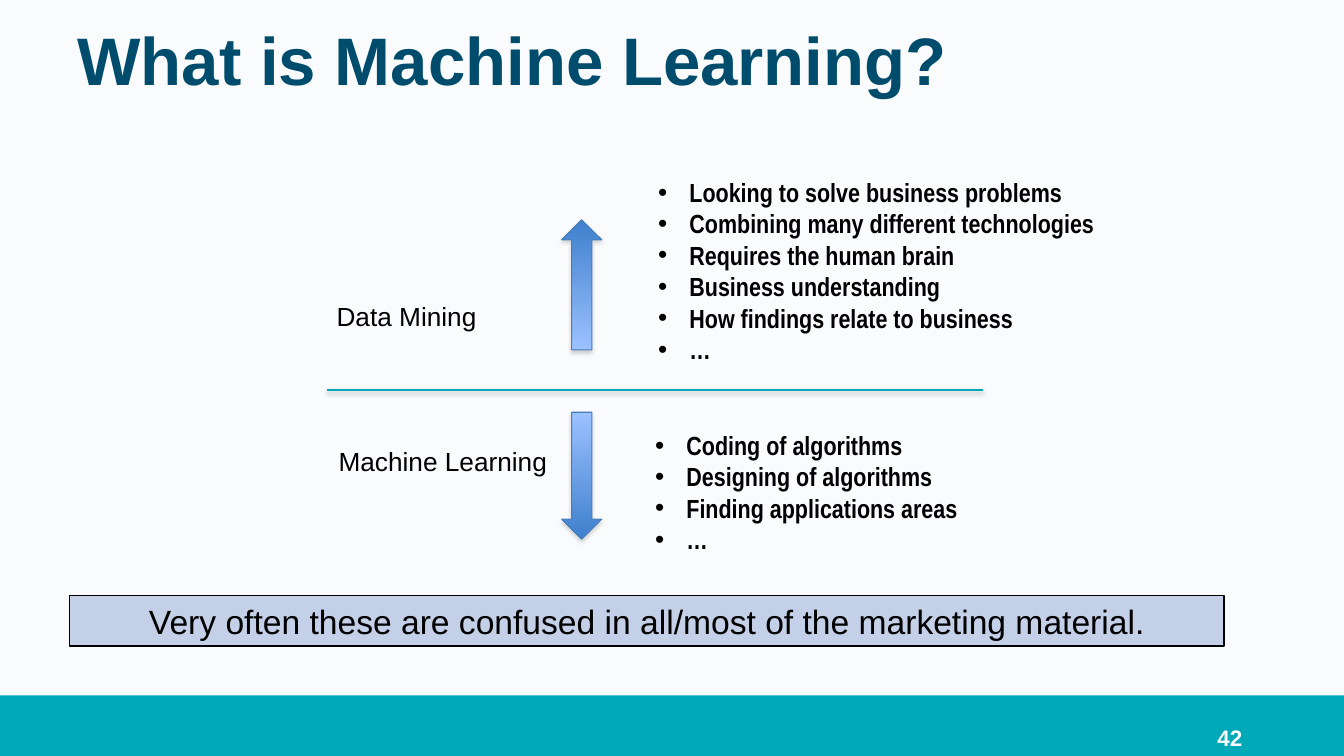
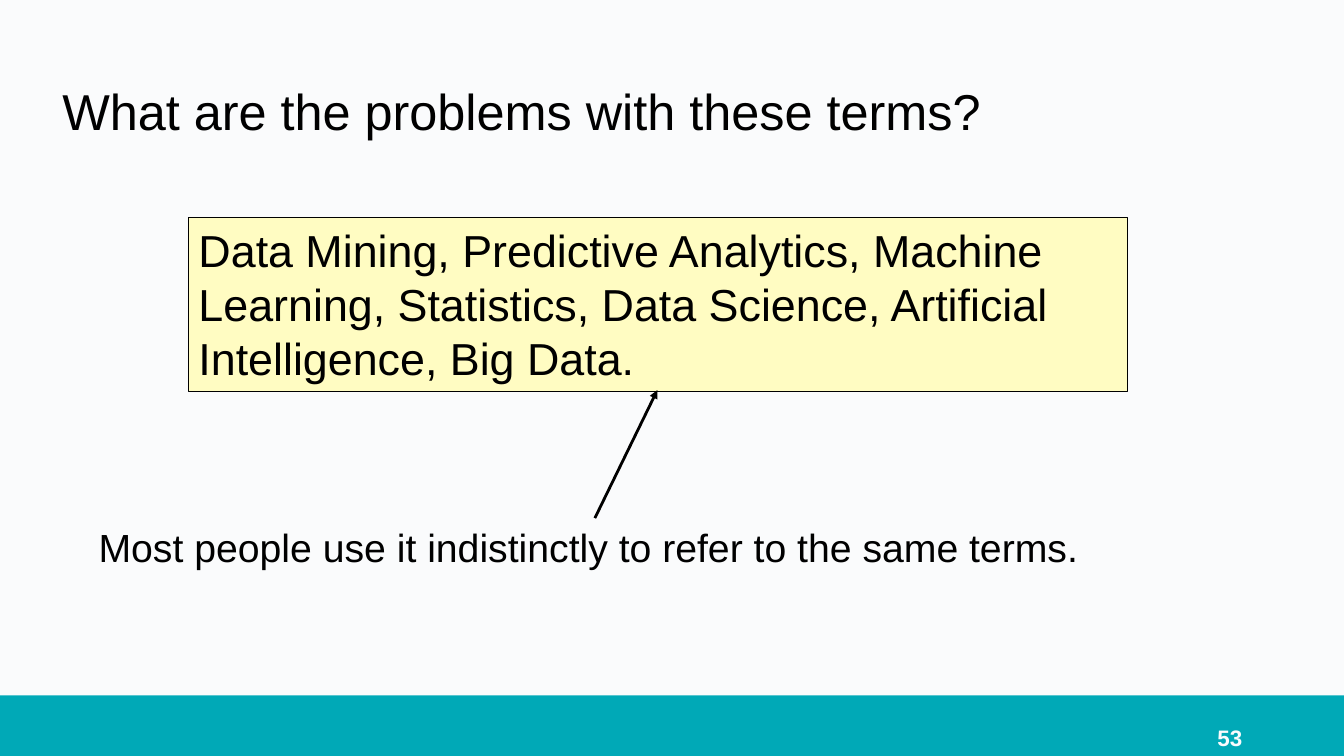
from lxml.etree import SubElement
from pptx import Presentation
from pptx.dml.color import RGBColor
from pptx.enum.shapes import MSO_CONNECTOR, MSO_SHAPE
from pptx.enum.text import MSO_ANCHOR, PP_ALIGN
from pptx.oxml.ns import qn
from pptx.util import Inches, Pt

COLORS = {name: RGBColor.from_string(value) for name, value in {
    "background": "FAFBFC",
    "teal": "00A9B7",
    "title": "004C6C",
    "text": "000000",
    "page number": "FAFBFD",
    "arrow light": "9BC1FF",
    "arrow dark": "3F80CD",
    "arrow edge": "4A7EBB",
    "blue box": "C4D0E7",
    "yellow box": "FFFCC2",
}.items()}


def add_text(slide, lines, box, size, color="text", font="Arial", bold=False,
             align=PP_ALIGN.LEFT, anchor=MSO_ANCHOR.TOP, fill=None, edge=1, bullets=False):
    """Add lines of text at box (left, top, width, height), in a filled rectangle if fill is given."""
    bounds = [Inches(length) for length in box]
    if fill:
        holder = slide.shapes.add_shape(MSO_SHAPE.RECTANGLE, *bounds)
        holder.shadow.inherit = False
        holder.fill.solid()
        holder.fill.fore_color.rgb = COLORS[fill]
        holder.line.color.rgb = COLORS["text"]
        holder.line.width = Pt(edge)
    else:
        holder = slide.shapes.add_textbox(*bounds)
    frame = holder.text_frame
    frame.word_wrap = True
    frame.vertical_anchor = anchor
    frame.text = "\n".join(lines)
    for paragraph in frame.paragraphs:
        paragraph.alignment = align
        if bullets:
            properties = paragraph._p.get_or_add_pPr()
            properties.set("marL", str(Inches(0.31)))
            properties.set("indent", str(-Inches(0.31)))
            SubElement(properties, qn("a:buFont"), typeface="Arial")
            SubElement(properties, qn("a:buChar"), char="•")
        for run in paragraph.runs:
            run.font.name = font
            run.font.size = Pt(size)
            run.font.bold = bold
            run.font.color.rgb = COLORS[color]
    return frame


def set_shadow(shape, opacity=0, distance=0):
    """Give a shape a soft shadow below it, or none when opacity is 0; set its line first."""
    effects = SubElement(shape._element.spPr, qn("a:effectLst"))
    if opacity:
        shadow = SubElement(effects, qn("a:outerShdw"), blurRad=str(Pt(3.1)),
                            dist=str(Pt(distance)), dir="5400000", rotWithShape="0")
        gray = SubElement(shadow, qn("a:srgbClr"), val="808080")
        SubElement(gray, qn("a:alpha"), val=str(opacity * 1000))


prs = Presentation()
prs.slide_width, prs.slide_height = Inches(13.33), Inches(7.5)
master_fill = prs.slide_master.background.fill
master_fill.solid()
master_fill.fore_color.rgb = COLORS["background"]

# Both slides: footer band and page number
slides = []
for page_number in ("42", "53"):
    slide = prs.slides.add_slide(prs.slide_layouts[6])
    band = slide.shapes.add_shape(MSO_SHAPE.RECTANGLE, 0, Inches(6.9), prs.slide_width, Inches(0.6))
    band.shadow.inherit = False
    band.fill.solid()
    band.fill.fore_color.rgb = COLORS["teal"]
    band.line.fill.background()
    add_text(slide, [page_number], (9.42, 7.14, 3, 0.36), 16, "page number", bold=True,
             align=PP_ALIGN.RIGHT, anchor=MSO_ANCHOR.MIDDLE)
    slides.append(slide)
learning_slide, terms_slide = slides

# Slide 1: data mining above the divider, machine learning below
title = add_text(learning_slide, ["What is Machine Learning?"], (0.67, 0.12, 11.5, 1.03), 48,
                 "title", bold=True, anchor=MSO_ANCHOR.MIDDLE)
title.paragraphs[0].line_spacing = 0.9

divider = learning_slide.shapes.add_connector(
    MSO_CONNECTOR.STRAIGHT, Inches(3.24), Inches(3.87), Inches(9.75), Inches(3.87))
divider.line.color.rgb = COLORS["teal"]
divider.line.width = Pt(2)
set_shadow(divider, 38, 1.6)

topics = [
    ("Data Mining", (3.24, 2.93, 1.7, 0.41),
     MSO_SHAPE.UP_ARROW, 2.18, 1.29, 90,
     ["Looking to solve business problems", "Combining many different technologies",
      "Requires the human brain", "Business understanding",
      "How findings relate to business", "…"], (6.43, 1.7, 4.7, 1.99)),
    ("Machine Learning", (3.26, 4.37, 2.4, 0.41),
     MSO_SHAPE.DOWN_ARROW, 4.09, 1.26, 270,
     ["Coding of algorithms", "Designing of algorithms",
      "Finding applications areas", "…"], (6.4, 4.21, 3.4, 1.36)),
]
for label, label_box, direction, arrow_top, arrow_height, angle, points, points_box in topics:
    add_text(learning_slide, [label], label_box, 18.7)
    arrow = learning_slide.shapes.add_shape(
        direction, Inches(5.57), Inches(arrow_top), Inches(0.4), Inches(arrow_height))
    arrow.fill.gradient()
    arrow.fill.gradient_angle = angle
    for stop, shade in zip(arrow.fill.gradient_stops, ("arrow light", "arrow dark")):
        stop.color.rgb = COLORS[shade]
    arrow.line.color.rgb = COLORS["arrow edge"]
    arrow.line.width = Pt(0.75)
    set_shadow(arrow, 35, 1.8)
    add_text(learning_slide, points, points_box, 18.7, font="Arial Narrow", bold=True, bullets=True)

add_text(learning_slide, ["Very often these are confused in all/most of the marketing material."],
         (0.69, 5.91, 11.45, 0.5), 24, align=PP_ALIGN.CENTER, fill="blue box")

# Slide 2: the terms and how people use them
add_text(terms_slide, ["What are the problems with these terms?"], (0.52, 0.35, 12, 1.48), 36,
         anchor=MSO_ANCHOR.MIDDLE)
add_text(terms_slide,
         ["Data Mining, Predictive Analytics, Machine Learning, Statistics, Data Science, "
          "Artificial Intelligence, Big Data."],
         (1.87, 2.16, 9.31, 1.72), 32, fill="yellow box", edge=0.75)
add_text(terms_slide, ["Most people use it indistinctly to refer to the same terms."],
         (0.88, 5.14, 10.2, 0.57), 28)

pointer = terms_slide.shapes.add_connector(
    MSO_CONNECTOR.STRAIGHT, Inches(5.9), Inches(5.14), Inches(6.52), Inches(3.87))
pointer.line.color.rgb = COLORS["text"]
pointer.line.width = Pt(2)
SubElement(pointer.get_or_add_ln(), qn("a:tailEnd"), type="triangle")
set_shadow(pointer)

prs.save("out.pptx")
